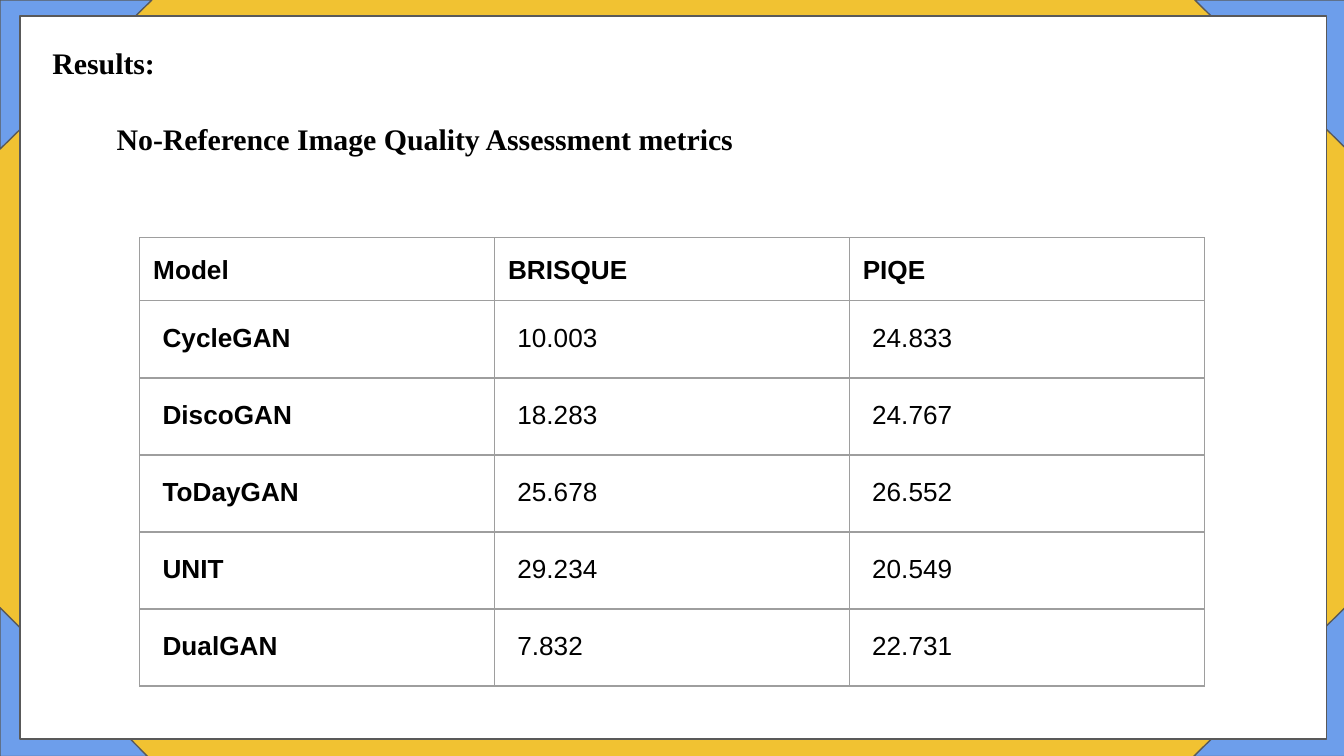
from lxml.etree import SubElement
from pptx import Presentation
from pptx.dml.color import RGBColor
from pptx.enum.shapes import MSO_SHAPE
from pptx.enum.text import MSO_ANCHOR, MSO_AUTO_SIZE, PP_ALIGN
from pptx.oxml.ns import qn
from pptx.util import Inches, Pt

YELLOW = RGBColor(0xF1, 0xC2, 0x32)
BLUE = RGBColor(0x6D, 0x9E, 0xEB)
WHITE = RGBColor(0xFF, 0xFF, 0xFF)
BLACK = RGBColor(0x00, 0x00, 0x00)
OUTLINE = RGBColor(0x59, 0x59, 0x59)
GRID = RGBColor(0x9E, 0x9E, 0x9E)

CORNERS = [
    (0, 4.52, 1.1, 1.11, 0),
    (8.89, 4.5, 1.12, 1.14, 270),
    (8.89, 0, 1.12, 1.1, 180),
    (0.01, -0.01, 1.11, 1.13, 90),
]
HEADER = ["Model", "BRISQUE", "PIQE"]
RESULTS = [
    ["CycleGAN", "10.003", "24.833"],
    ["DiscoGAN", "18.283", "24.767"],
    ["ToDayGAN", "25.678", "26.552"],
    ["UNIT", "29.234", "20.549"],
    ["DualGAN", "7.832", "22.731"],
]


def add_outlined_shape(s, kind, left, top, width, height, color, rotation=0):
    sp = s.shapes.add_shape(kind, Inches(left), Inches(top), Inches(width), Inches(height))
    sp.rotation = rotation
    sp.shadow.inherit = False
    sp.fill.solid()
    sp.fill.fore_color.rgb = color
    sp.line.color.rgb = OUTLINE
    sp.line.width = Pt(0.75)


def set_margins(box, inset):
    """Give a text frame or table cell the same inset on all four sides."""
    box.margin_left = box.margin_right = Inches(inset)
    box.margin_top = box.margin_bottom = Inches(inset)


def format_text(p, font, size, bold):
    p.alignment = PP_ALIGN.LEFT
    for r in p.runs:
        r.font.name = font
        r.font.size = Pt(size)
        r.font.bold = bold
        r.font.color.rgb = BLACK


def set_heading(sp, text, left, top, width):
    sp.left, sp.top = Inches(left), Inches(top)
    sp.width, sp.height = Inches(width), Inches(0.47)
    tf = sp.text_frame
    tf.text = text
    tf.word_wrap = True
    tf.auto_size = MSO_AUTO_SIZE.SHAPE_TO_FIT_TEXT
    tf.vertical_anchor = MSO_ANCHOR.TOP
    set_margins(tf, 0.1)
    format_text(tf.paragraphs[0], "Times New Roman", 16, True)


def set_borders(cell):
    tcPr = cell._tc.get_or_add_tcPr()
    for side in ("lnL", "lnR", "lnT", "lnB"):
        ln = SubElement(tcPr, qn(f"a:{side}"), w=str(Pt(0.75)))
        fill = SubElement(ln, qn("a:solidFill"))
        SubElement(fill, qn("a:srgbClr"), val=str(GRID))


def set_cell(cell, text, bold, inset):
    cell.text = text
    set_margins(cell, inset)
    set_borders(cell)
    cell.fill.background()
    format_text(cell.text_frame.paragraphs[0], "Arial", 14, bold)


def add_results_table(s):
    """Add the table; its rows grow from their minimum height to fit the text."""
    rows = [HEADER] + RESULTS
    table = s.shapes.add_table(len(rows), len(HEADER), Inches(1.04), Inches(1.77),
                               Inches(7.92), Inches(3.28)).table
    table.first_row = table.horz_banding = False
    for i, row in enumerate(rows):
        is_header = i == 0
        table.rows[i].height = Inches(0.42)
        for j, text in enumerate(row):
            cell = table.cell(i, j)
            set_cell(cell, text, is_header or j == 0, 0.1 if is_header else 0.17)
            if is_header:
                cell.text_frame.paragraphs[0].line_spacing = 1.15


def main():
    prs = Presentation()
    prs.slide_width = Inches(10)
    prs.slide_height = Inches(10 * 9 / 16)
    s = prs.slides.add_slide(prs.slide_layouts[5])
    s.background.fill.solid()
    s.background.fill.fore_color.rgb = YELLOW

    for left, top, width, height, rotation in CORNERS:
        add_outlined_shape(s, MSO_SHAPE.RIGHT_TRIANGLE, left, top, width, height, BLUE, rotation)
    add_outlined_shape(s, MSO_SHAPE.RECTANGLE, 0.15, 0.12, 9.72, 5.38, WHITE)

    title = s.shapes.title
    s.shapes._spTree.append(title._element)  # bring the title in front of the panel
    set_heading(title, "Results:", 0.29, 0.23, 6.68)
    add_results_table(s)
    subtitle = s.shapes.add_textbox(0, 0, 0, 0)
    set_heading(subtitle, "No-Reference Image Quality Assessment metrics", 0.77, 0.8, 7.54)

    prs.save("out.pptx")


if __name__ == "__main__":
    main()
